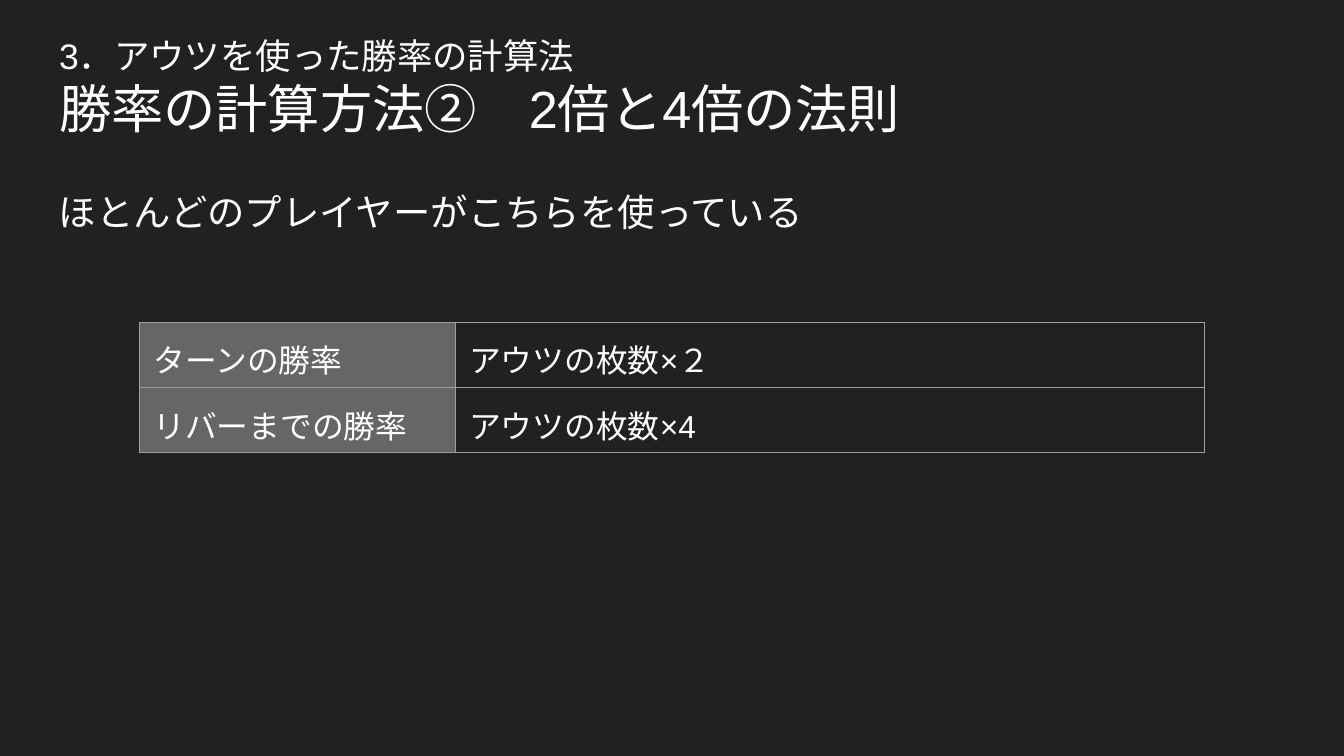
from dataclasses import dataclass

from lxml.etree import SubElement
from pptx import Presentation
from pptx.dml.color import RGBColor as RGB
from pptx.enum.lang import MSO_LANGUAGE_ID as Lang
from pptx.enum.text import MSO_ANCHOR as Anchor, MSO_AUTO_SIZE as Fit, PP_ALIGN as Align
from pptx.oxml.ns import qn
from pptx.util import Inches, Pt


@dataclass(frozen=True)
class Theme:
    """Hold the colours, font and type sizes of the slide."""
    back: str = "212121"
    ink: str = "FFFFFF"
    head: str = "666666"
    rule: str = "9E9E9E"
    font: str = "Arial"
    small: int = 19
    title: int = 28
    body: int = 20
    cell: int = 17


THEME = Theme()


def paint(fill, color):
    """Give a fill one solid colour."""
    fill.solid()
    fill.fore_color.rgb = RGB.from_string(color)


def write(frame, *lines, sizes, space=1.0):
    """Write one paragraph per line, each with its own type size."""
    frame.word_wrap = True
    for i, (line, size) in enumerate(zip(lines, sizes)):
        para = frame.add_paragraph() if i else frame.paragraphs[0]
        para.alignment = Align.LEFT
        para.line_spacing = space
        para.space_before = para.space_after = Pt(0)
        run = para.add_run()
        run.text = line
        font = run.font
        font.name, font.size, font.bold = THEME.font, Pt(size), False
        font.color.rgb = RGB.from_string(THEME.ink)
        font.language_id = Lang.JAPANESE


def pad(item):
    """Set equal margins on a text frame or a cell."""
    item.margin_left = item.margin_right = Inches(0.1)
    item.margin_top = item.margin_bottom = Inches(0.1)
    item.vertical_anchor = Anchor.TOP


def add_title(slide, *lines, sizes):
    """Place and fill the title placeholder."""
    title = slide.shapes.title
    title.left, title.top = Inches(0.34), Inches(0.15)
    title.width, title.height = Inches(9.32), Inches(0.63)
    frame = title.text_frame
    frame.auto_size = Fit.NONE
    pad(frame)
    write(frame, *lines, sizes=sizes)


def add_body(slide, line):
    """Add the lead sentence under the title."""
    box = slide.shapes.add_textbox(Inches(0.34), Inches(1.26), Inches(9.32), Inches(3.74))
    pad(box.text_frame)
    write(box.text_frame, line, sizes=[THEME.body], space=1.15)


def edge(cell):
    """Draw a thin border on all four sides of a cell."""
    props = cell._tc.get_or_add_tcPr()
    for i, side in enumerate(("lnL", "lnR", "lnT", "lnB")):
        line = props.makeelement(qn(f"a:{side}"), {"w": str(Pt(0.75))})
        fill = SubElement(line, qn("a:solidFill"))
        SubElement(fill, qn("a:srgbClr"), val=THEME.rule)
        props.insert(i, line)


def add_grid(slide, rows, widths, height):
    """Add a table whose first column is shaded as a header."""
    frame = slide.shapes.add_table(
        len(rows), len(widths), Inches(1.04), Inches(2.4),
        Inches(sum(widths)), Inches(height * len(rows)))
    table = frame.table
    table.first_row = table.horz_banding = False
    for col, width in zip(table.columns, widths):
        col.width = Inches(width)
    for r, row in enumerate(rows):
        for c, text in enumerate(row):
            cell = table.cell(r, c)
            pad(cell)
            write(cell.text_frame, text, sizes=[THEME.cell])
            if c:
                cell.fill.background()
            else:
                paint(cell.fill, THEME.head)
            edge(cell)


def main():
    """Build the slide and save it."""
    deck = Presentation()
    deck.slide_width, deck.slide_height = Inches(10), Inches(10 * 9 / 16)
    slide = deck.slides.add_slide(deck.slide_layouts[5])
    paint(slide.background.fill, THEME.back)
    add_title(slide, "3．アウツを使った勝率の計算法", "勝率の計算方法②　2倍と4倍の法則",
              sizes=[THEME.small, THEME.title])
    add_body(slide, "ほとんどのプレイヤーがこちらを使っている")
    rows = [("ターンの勝率", "アウツの枚数×２"), ("リバーまでの勝率", "アウツの枚数×4")]
    add_grid(slide, rows, widths=(2.35, 5.57), height=0.42)
    deck.save("out.pptx")


if __name__ == "__main__":
    main()
